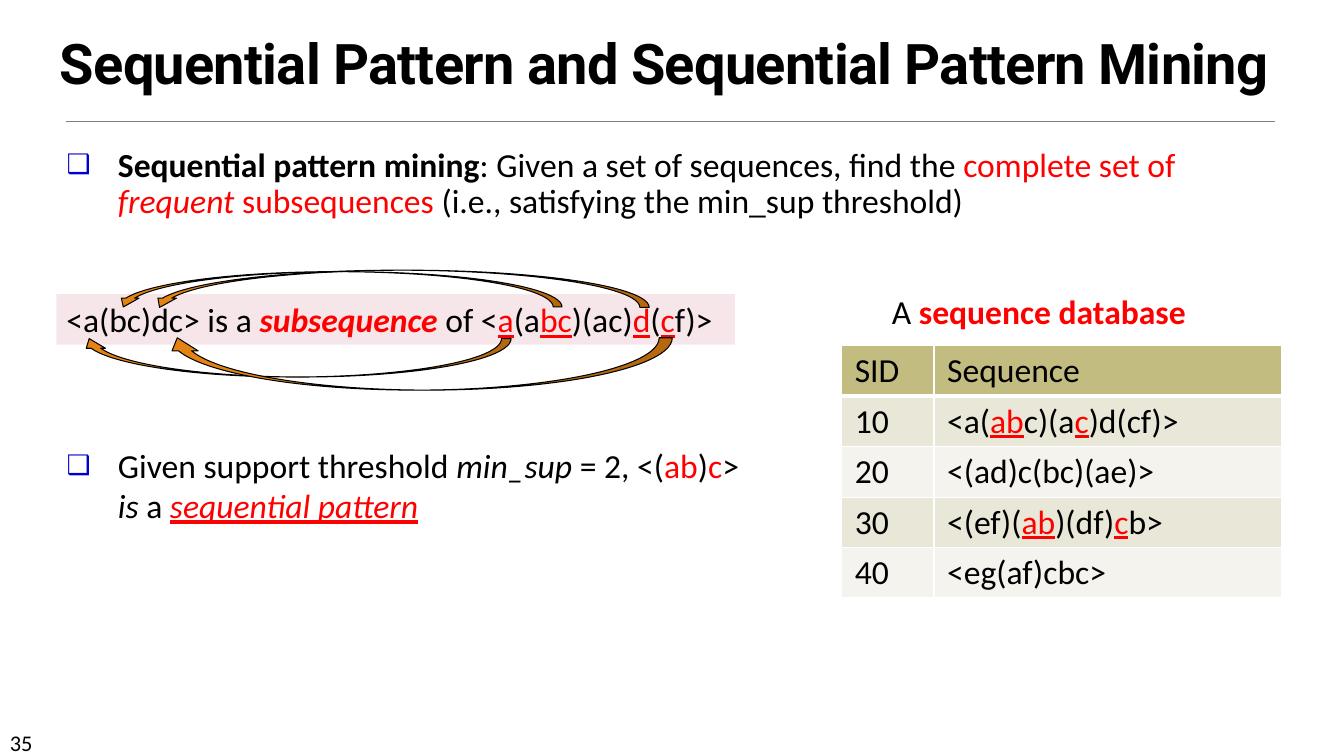
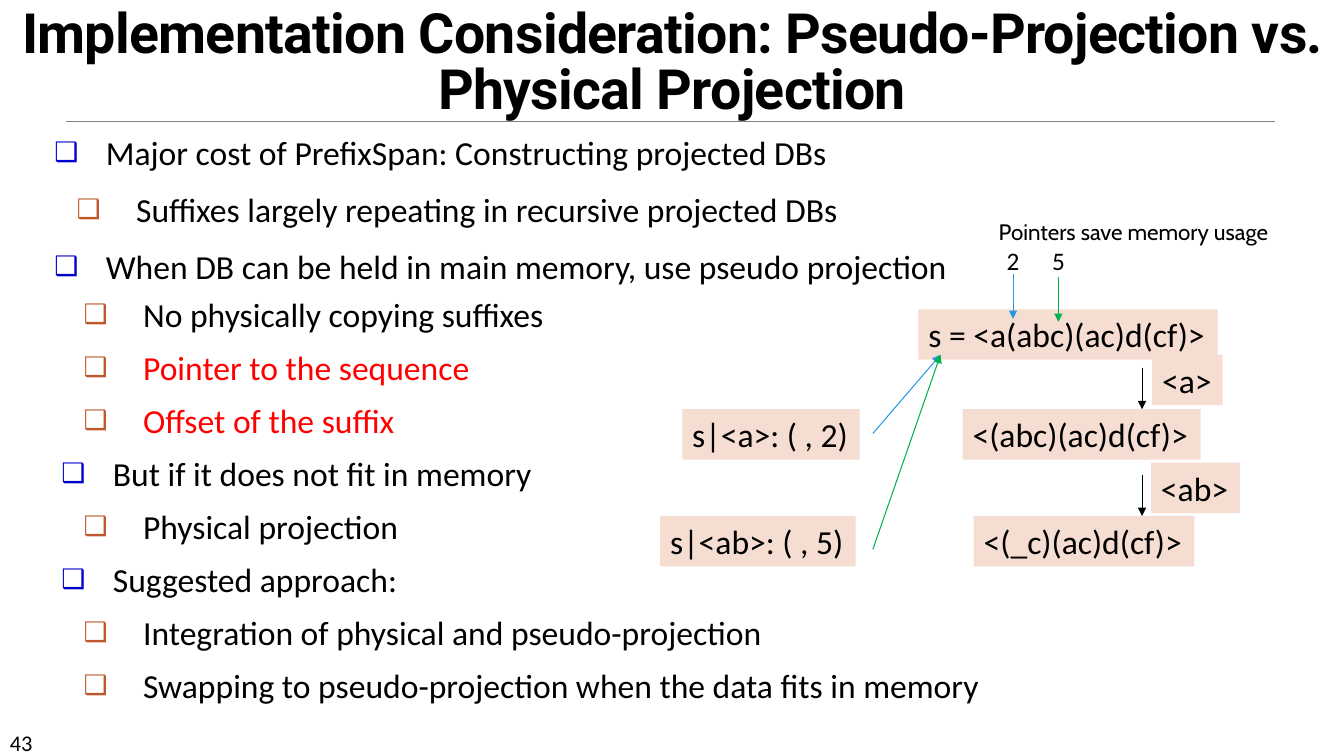
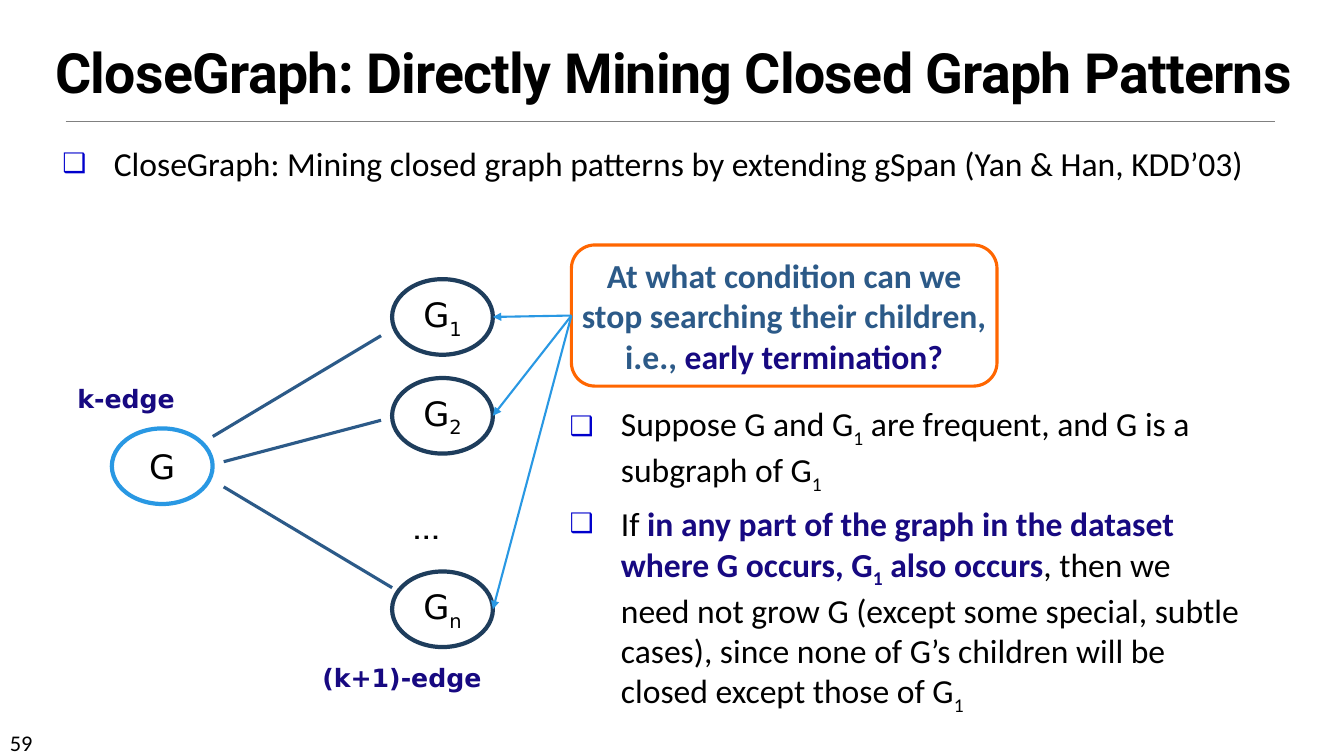
from dataclasses import dataclass

from lxml import etree
from pptx import Presentation
from pptx.dml.color import RGBColor
from pptx.enum import shapes, text
from pptx.oxml import ns
from pptx.util import Pt


@dataclass(frozen=True)
class Theme:
    body: str = "Calibri"
    head: str = "Roboto"
    note: str = "Cabin"
    node: str = "DejaVu Sans"
    title: float = 39.6
    main: float = 24
    tag: float = 18
    small: float = 16
    dots: float = 28
    black: str = "000000"
    white: str = "FFFFFF"
    red: str = "FF0000"
    rule: str = "808080"
    sky: str = "2998E3"
    green: str = "00B050"
    navy: str = "1E3D5C"
    steel: str = "2C5A88"
    indigo: str = "170981"
    orange: str = "FF6600"
    amber: str = "E48312"
    pink: str = "F6E6EA"
    peach: str = "F5DDD2"
    header: str = "C2BC80"
    bands: tuple = ("E9E7D8", "F4F3ED")
    bullets: tuple = ("0000CC", "BD582C")
    indents: tuple = ((36.72, 36.72), (58.32, 42.48))  # margin, hang


T = Theme()
KIND = shapes.MSO_SHAPE
MID = text.PP_ALIGN.CENTER
RED = {"color": T.red}
HIT = {"color": T.red, "under": True}
KEY = {"color": T.indigo, "bold": True}
SUB = {"base": -25}


def rgb(code):
    return RGBColor.from_string(code)


def add(parent, tag, **attrs):
    return etree.SubElement(parent, ns.qn("a:" + tag), attrs)


def write(para, words, size=T.main, font=T.body, color=T.black, bold=False,
          ital=False, under=False, base=0, track=0):
    """Append one formatted run; base is a percentage, track is in points."""
    run = para.add_run()
    run.text = words
    face = run.font
    face.size, face.name = Pt(size), font
    face.bold, face.italic, face.underline = bold, ital, under
    face.color.rgb = rgb(color)
    props = run._r.get_or_add_rPr()
    if base:
        props.set("baseline", str(base * 1000))
    if track:
        props.set("spc", str(int(track * 100)))


def runs(para, parts, **look):
    """Write parts, each a string or a (string, format) pair."""
    for part in [parts] if isinstance(parts, str) else parts:
        words, extra = (part, {}) if isinstance(part, str) else part
        write(para, words, **{**look, **extra})


def paras(frame, count):
    return [frame.paragraphs[0]] + [frame.add_paragraph() for _ in range(count - 1)]


def place(shape, left, top, width, height):
    shape.left, shape.top = Pt(left), Pt(top)
    shape.width, shape.height = Pt(width), Pt(height)


def head(slide, words, spot, size=T.title):
    title = slide.shapes.title
    place(title, *spot)
    frame = title.text_frame
    frame.auto_size = text.MSO_AUTO_SIZE.NONE
    frame.vertical_anchor = text.MSO_ANCHOR.BOTTOM
    para = frame.paragraphs[0]
    para.alignment, para.line_spacing = MID, 0.85
    write(para, words, size=size, font=T.head, bold=True, track=-0.5)


def points(slide, index, spot, items, after=0, lead=1.0):
    """Fill a body placeholder with (level, parts) bullets."""
    holder = slide.placeholders[index]
    place(holder, *spot)
    frame = holder.text_frame
    frame.auto_size = text.MSO_AUTO_SIZE.NONE
    for i, (para, (level, parts)) in enumerate(zip(paras(frame, len(items)), items)):
        margin, hang = T.indents[level]
        props = para._p.get_or_add_pPr()
        props.set("marL", str(Pt(margin)))
        props.set("indent", str(-Pt(hang)))
        add(add(props, "buClr"), "srgbClr", val=T.bullets[level])
        add(props, "buSzPct", val="80000")
        add(props, "buChar", char="❑")
        para.level, para.line_spacing = level, lead
        para.space_before, para.space_after = Pt(6 if i else 0), Pt(after)
        runs(para, parts)


def label(slide, spot, parts, align=None, **look):
    box = slide.shapes.add_textbox(*map(Pt, spot))
    box.text_frame.word_wrap = False
    para = box.text_frame.paragraphs[0]
    para.alignment = align
    runs(para, parts, **look)


def shape(slide, kind, spot, fill, line=None, width=0.75, lines=(), align=MID, **look):
    item = slide.shapes.add_shape(kind, *map(Pt, spot))
    item.shadow.inherit = False
    item.fill.solid()
    item.fill.fore_color.rgb = rgb(fill)
    if line:
        item.line.color.rgb = rgb(line)
        item.line.width = Pt(width)
    else:
        item.line.fill.background()
    if lines:
        frame = item.text_frame
        frame.word_wrap = False
        frame.vertical_anchor = text.MSO_ANCHOR.MIDDLE
        for para, parts in zip(paras(frame, len(lines)), lines):
            para.alignment = align
            runs(para, parts, **look)
    return item


def chip(slide, spot, parts, fill=T.peach):
    shape(slide, KIND.RECTANGLE, spot, fill, lines=[parts], align=text.PP_ALIGN.LEFT)


def link(slide, start, end, color, width=0.75, arrow=True):
    line = slide.shapes.add_connector(shapes.MSO_CONNECTOR.STRAIGHT,
                                      *map(Pt, (*start, *end)))
    line.line.color.rgb = rgb(color)
    line.line.width = Pt(width)
    if arrow:
        add(line.line._get_or_add_ln(), "tailEnd", type="triangle")
    add(line._element.spPr, "effectLst")
    return line


def curve(slide, spot, flip):
    """Curved arrow laid on its side; flip puts it below the text."""
    item = shape(slide, KIND.CURVED_RIGHT_ARROW, spot, T.amber, T.black)
    item.rotation = 90
    if flip:
        item._element.spPr.find(ns.qn("a:xfrm")).set("flipH", "1")


def edge(cell, side, width):
    line = add(cell._tc.get_or_add_tcPr(), "ln" + side, w=str(Pt(width)))
    add(add(line, "solidFill"), "srgbClr", val=T.white)


def table(slide, left, top, widths, height, rows):
    grid = slide.shapes.add_table(len(rows), len(widths), Pt(left), Pt(top),
                                  Pt(sum(widths)), Pt(height * len(rows))).table
    grid.first_row = grid.horz_banding = False
    for col, width in zip(grid.columns, widths):
        col.width = Pt(width)
    for r, row in enumerate(rows):
        for c, parts in enumerate(row):
            cell = grid.cell(r, c)
            cell.margin_left = cell.margin_right = Pt(9.36)
            for side in "LRTB":
                thick = (r, side) in ((0, "B"), (1, "T"))
                edge(cell, side, 3 if thick else 1)
            cell.fill.solid()
            cell.fill.fore_color.rgb = rgb(T.bands[(r - 1) % 2] if r else T.header)
            runs(cell.text_frame.paragraphs[0], parts)


def page(deck, layout, number):
    slide = deck.slides.add_slide(layout)
    label(slide, (0, 517, 84, 21.6), number, size=T.small)
    return slide


def mining(slide):
    head(slide, "Sequential Pattern and Sequential Pattern Mining",
         (0, 26.6, 949, 45.4), size=40)
    points(slide, 1, (40.3, 102.2, 888, 64), [(0, [
        ("Sequential pattern mining", {"bold": True}),
        ": Given a set of sequences, find the ",
        ("complete set of ", RED), ("frequent ", {**RED, "ital": True}),
        ("subsequences ", RED), "(i.e., satisfying the min_sup threshold)"])], lead=0.9)
    chip(slide, (40.3, 210.2, 484.6, 36), [
        "<a(bc)dc> is a ", ("subsequence ", {**RED, "bold": True, "ital": True}),
        "of <", ("a", HIT), "(a", ("bc", HIT), ")(ac)", ("d", HIT), "(",
        ("c", HIT), "f)>"], fill=T.pink)
    points(slide, 2, (40.3, 314, 500.4, 78), [(0, [
        "Given support threshold ", ("min_sup ", {"ital": True}), "= 2, <(",
        ("ab", RED), ")", ("c", RED), "> ", ("is", {"ital": True}), " a ",
        ("sequential pattern", {**HIT, "ital": True})])])
    table(slide, 601.2, 247, (66, 248), 36, [
        ("SID", "Sequence"),
        ("10", ["<a(", ("ab", HIT), "c)(a", ("c", HIT), ")d(cf)>"]),
        ("20", "<(ad)c(bc)(ae)>"),
        ("30", ["<(ef)(", ("ab", HIT), ")(df)", ("c", HIT), "b>"]),
        ("40", "<eg(af)cbc>")])
    label(slide, (630, 204.5, 232.6, 36),
          ["A ", ("sequence database", {**RED, "bold": True})])
    for spot, flip in (((197.3, 101.5, 27.4, 308.2), True),
                       ((229, 46.8, 25.2, 319.7), False),
                       ((272.2, 28.1, 26.6, 356.4), False),
                       ((280.1, 78.5, 37.4, 362.9), True)):
        curve(slide, spot, flip)


def pseudo(slide):
    head(slide, "Implementation Consideration: Pseudo-Projection vs. Physical Projection",
         (0, 12.2, 960, 77.8))
    points(slide, 1, (31.7, 90.7, 895.7, 113.8), [
        (0, "Major cost of PrefixSpan: Constructing projected DBs"),
        (1, "Suffixes largely repeating in recursive projected DBs"),
        (0, "When DB can be held in main memory, use pseudo projection")], after=6)
    points(slide, 2, (36.7, 206.6, 681, 306.7), [
        (1, "No physically copying suffixes"),
        (1, [("Pointer to the sequence", RED)]),
        (1, [("Offset of the suffix", RED)]),
        (0, "But if it does not fit in memory"),
        (1, "Physical projection"),
        (0, "Suggested approach:"),
        (1, "Integration of physical and pseudo-projection"),
        (1, "Swapping to pseudo-projection when the data fits in memory")], after=3)
    for left, top, width, words in ((656, 221, 213.8, "s = <a(abc)(ac)d(cf)>"),
                                    (687.6, 292.3, 170, "<(abc)(ac)d(cf)>"),
                                    (695.5, 368.6, 157.7, "<(_c)(ac)d(cf)>"),
                                    (823, 253.4, 50.4, "<a>"),
                                    (822.2, 330.5, 63.4, "<ab>"),
                                    (487.4, 292.3, 126.7, "s|<a>: ( , 2)"),
                                    (471.6, 368.6, 139.7, "s|<ab>: ( , 5)")):
        chip(slide, (left, top, width, 36), words)
    for top in (262.8, 339.1):
        link(slide, (815.8, top), (815.8, top + 29.5), T.black)
    for digit, x, top, low, color in (("2", 723.6, 195.8, 309.6, T.sky),
                                      ("5", 756, 198, 392.4, T.green)):
        label(slide, (x - 12, 171.4, 24, 28.8), digit, align=MID, size=T.tag)
        link(slide, (x, top), (x, top + 32), color)
        link(slide, (623.5, low), (671.8, 253.4), color)
    label(slide, (706.3, 152.6, 218.9, 26.6), "Pointers save memory usage",
          size=T.small, font=T.note)


def closed(slide):
    head(slide, "CloseGraph: Directly Mining Closed Graph Patterns", (2, 12.2, 958, 66.3))
    points(slide, 1, (37.4, 98.6, 859, 47.5), [
        (0, "CloseGraph: Mining closed graph patterns by extending gSpan "
            "(Yan & Han, KDD’03)")])
    points(slide, 2, (399.6, 284.4, 496.8, 213), [
        (0, ["Suppose G and G", ("1", SUB), " are frequent, and G is a subgraph of G",
             ("1", SUB)]),
        (0, ["If ", ("in any part of the graph in the dataset where G occurs, G", KEY),
             ("1", {**KEY, **SUB}), (" also occurs", KEY),
             ", then we need not grow G (except some special, subtle cases), since "
             "none of G’s children will be closed except those of G", ("1", SUB)])])
    label(slide, (288, 354.2, 37.4, 41), "…", size=T.dots, font=T.note)
    shape(slide, KIND.ROUNDED_RECTANGLE, (408.2, 175, 304, 100.8), T.white, T.orange, 2.25,
          ["At what condition can we", "stop searching their children,",
           ["i.e., ", ("early termination?", KEY)]], color=T.steel, bold=True)
    shape(slide, KIND.OVAL, (79.9, 306, 72, 54), T.white, T.sky, 3, ["G"], font=T.node)
    for index, top in (("1", 199.4), ("2", 270), ("n", 408.2)):
        shape(slide, KIND.OVAL, (280.1, top, 72, 54), T.white, T.navy, 3,
              [["G", (index, SUB)]], font=T.node)
        link(slide, (408.2, 225.4), (352.1, top + 27), T.sky, 1.5)
    for start, end in (((152, 311.8), (272.2, 239.8)),
                       ((159.8, 347.8), (280.1, 419.8)),
                       ((159.8, 329.8), (272.2, 300.2))):
        link(slide, start, end, T.steel, 2.25, arrow=False)
    for words, left, top, width in (("k-edge", 48.2, 270, 85),
                                    ("(k+1)-edge", 223.2, 469.4, 130)):
        label(slide, (left, top, width, 28.8), words, size=T.tag, font=T.node, **KEY)


def main():
    deck = Presentation()
    deck.slide_width, deck.slide_height = Pt(960), Pt(540)
    layout = deck.slide_layouts.get_by_name("Two Content")
    for number, build in (("35", mining), ("43", pseudo), ("59", closed)):
        slide = page(deck, layout, number)
        if number == "35":
            rule = link(slide, (46.8, 86.8), (910.8, 86.8), T.rule, 0.5, arrow=False)
            layout.shapes._spTree.append(rule._element)
        build(slide)
    deck.save("out.pptx")


if __name__ == "__main__":
    main()
